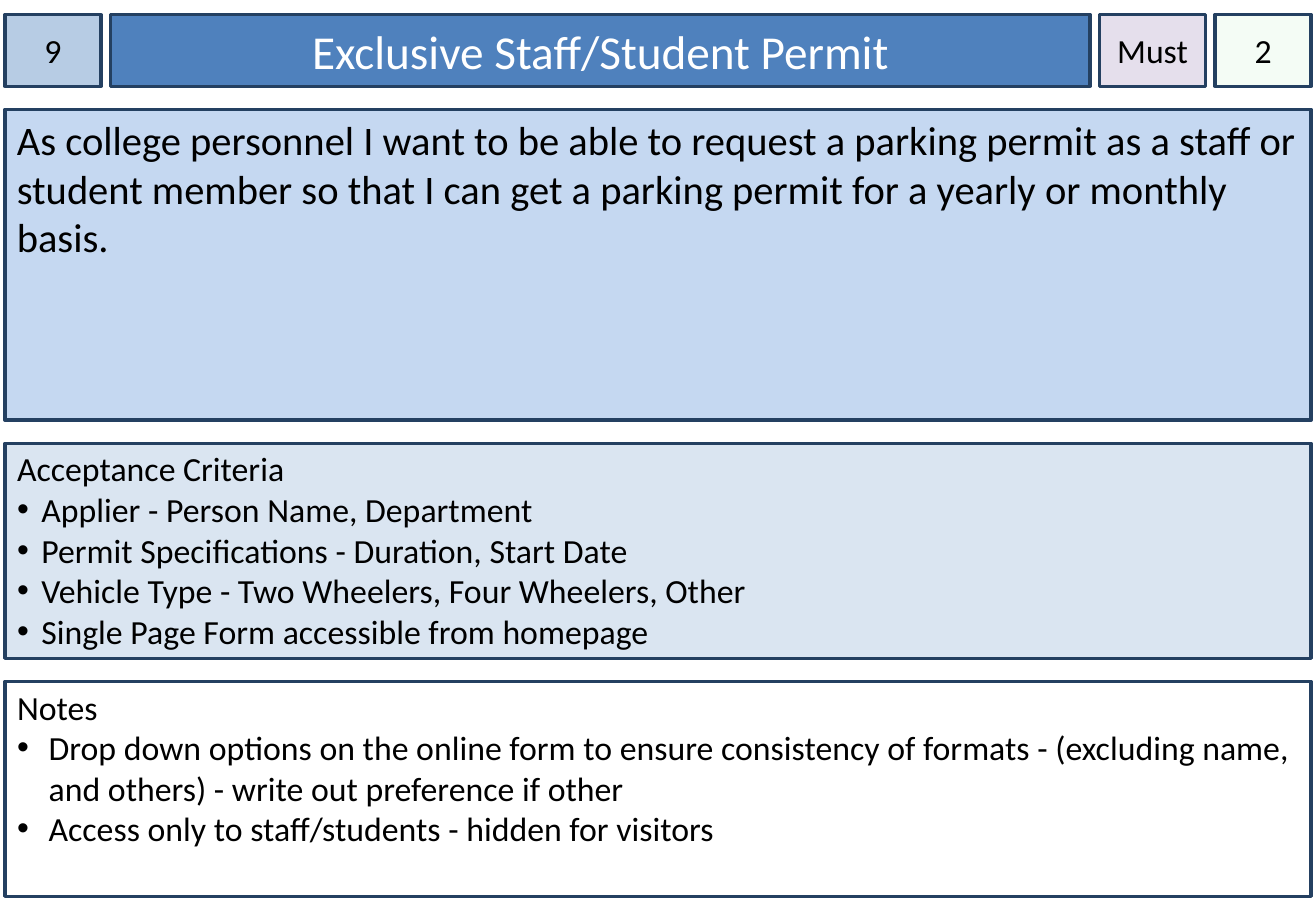
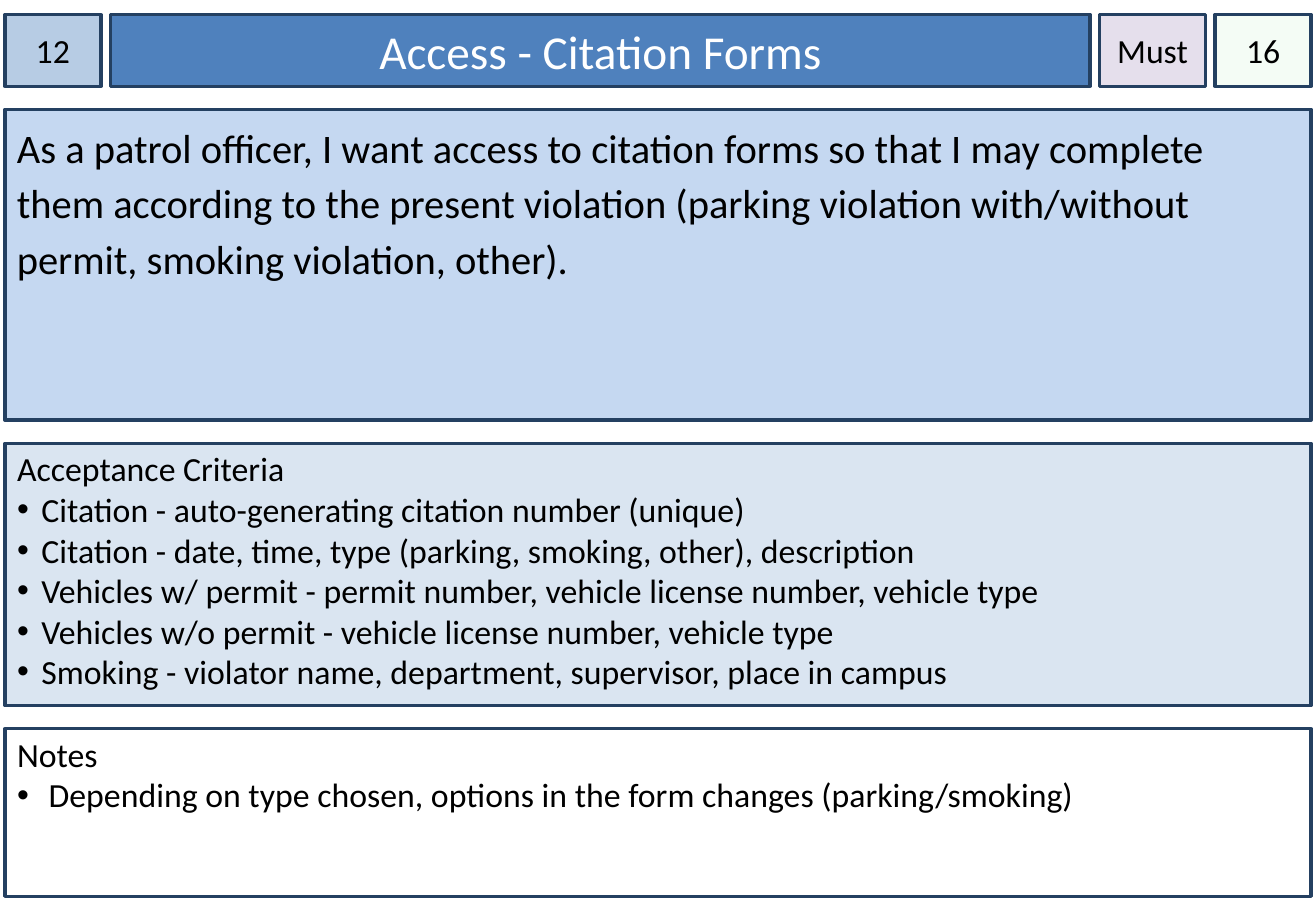
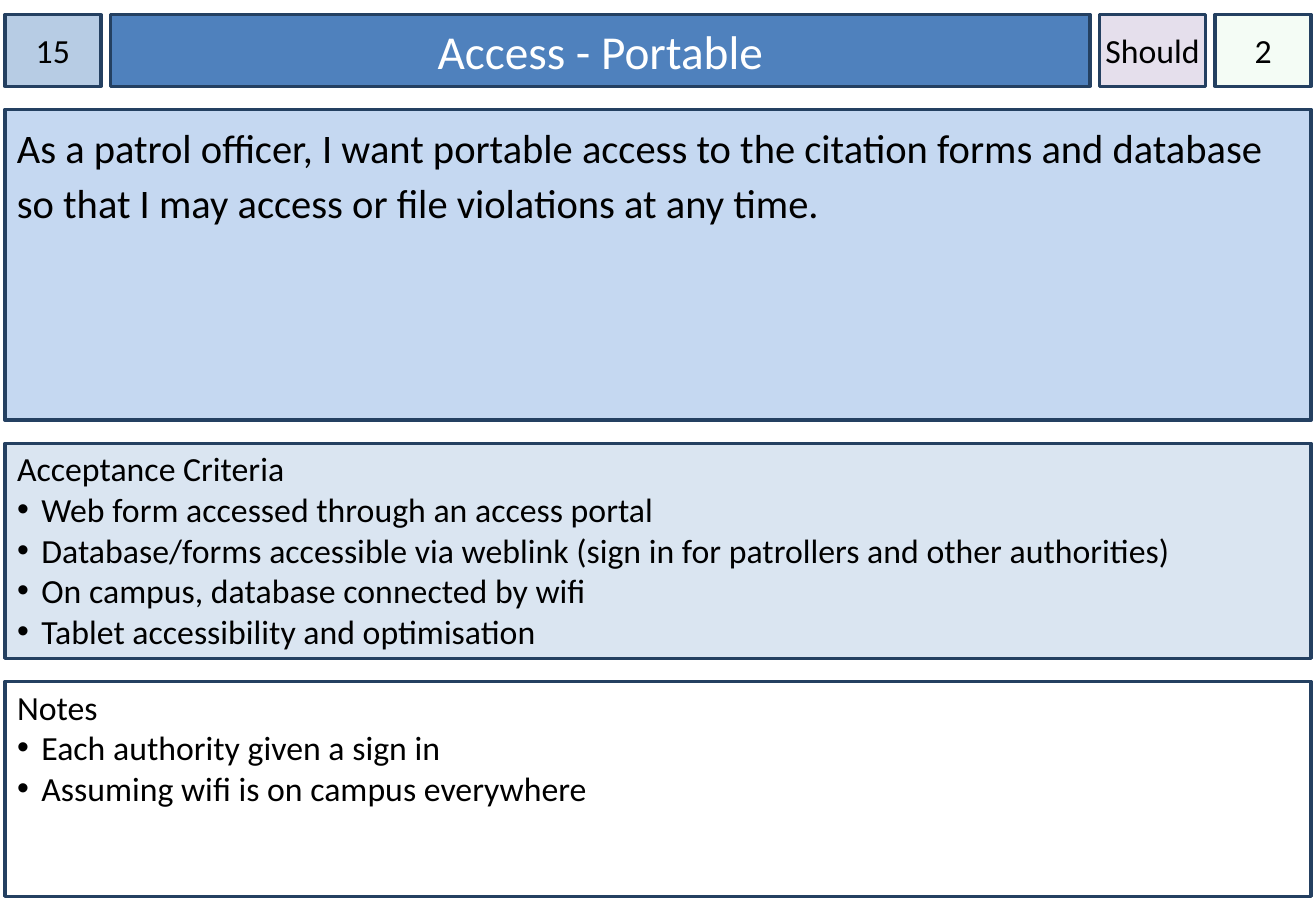
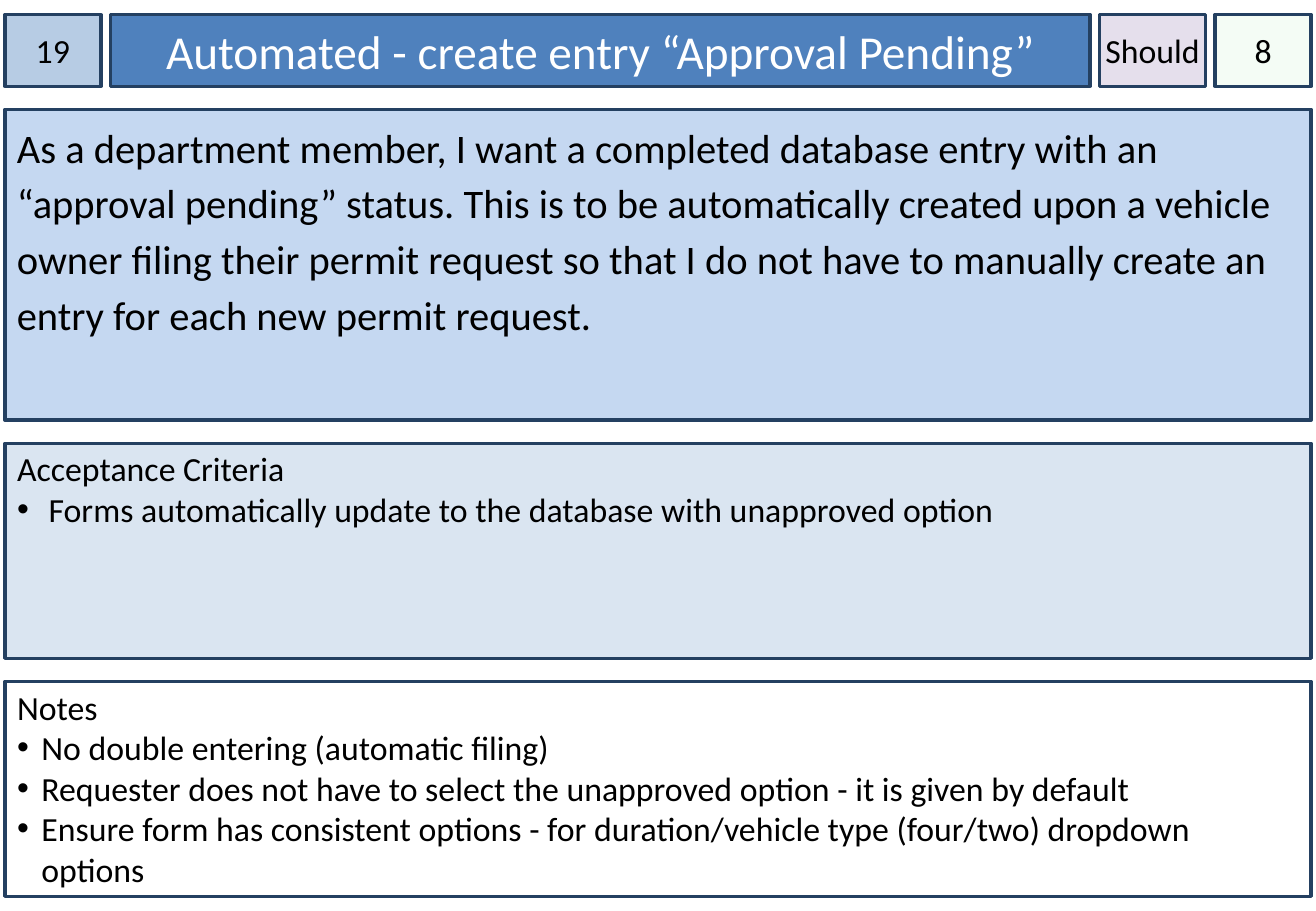
"""Build a deck of user story cards for a campus parking system."""
import dataclasses

import lxml.etree
import pptx
import pptx.dml.color
import pptx.enum.shapes
import pptx.enum.text
import pptx.oxml.ns
import pptx.util

PX = 9144
PAGE_WIDTH, PAGE_HEIGHT = 1083, 750
LEFT, TOP, RIGHT, BOTTOM = 4, 12, 1079, 738
COLUMN_GAP, ROW_GAP = 8, 19
HEADER_HEIGHT, STORY_HEIGHT = 59, 256
BADGE_WIDTH, PRIORITY_WIDTH = 79, 87
TWO_CONTENT_LAYOUT = 3
FONT = "Calibri"
COLORS = {
    "outline": "244061",
    "text": "000000",
    "title text": "FFFFFF",
    "number": "B7CCE4",
    "title": "4F81BD",
    "priority": "E5DFEC",
    "points": "CCF0CD",
    "story": "C5D8F1",
    "criteria": "DAE5F1",
    "remarks": "FFFFFF",
}
ALIGN = pptx.enum.text.PP_ALIGN
ANCHOR = pptx.enum.text.MSO_ANCHOR


@dataclasses.dataclass
class Box:
    """A rectangle in px."""
    left: int
    top: int
    width: int
    height: int


@dataclasses.dataclass
class Story:
    """The contents of one card."""
    number: str
    title: str
    priority: str
    points: str
    text: str
    criteria: list
    remarks: list
    spacing: float = 1.15
    criteria_height: int = 177
    criteria_indent: int = 20
    remarks_indent: int = 20


STORIES = [
    Story(
        "9", "Exclusive Staff/Student Permit", "Must", "2",
        "As college personnel I want to be able to request a parking permit as a staff or "
        "student member so that I can get a parking permit for a yearly or monthly basis.",
        ["Applier - Person Name, Department",
         "Permit Specifications - Duration, Start Date",
         "Vehicle Type - Two Wheelers, Four Wheelers, Other",
         "Single Page Form accessible from homepage"],
        ["Drop down options on the online form to ensure consistency of formats - "
         "(excluding name, and others) - write out preference if other",
         "Access only to staff/students - hidden for visitors"],
        spacing=1.0, remarks_indent=26),
    Story(
        "12", "Access - Citation Forms", "Must", "16",
        "As a patrol officer, I want access to citation forms so that I may complete them "
        "according to the present violation (parking violation with/without permit, "
        "smoking violation, other).",
        ["Citation - auto-generating citation number (unique)",
         "Citation - date, time, type (parking, smoking, other), description",
         "Vehicles w/ permit - permit number, vehicle license number, vehicle type",
         "Vehicles w/o permit - vehicle license number, vehicle type",
         "Smoking - violator name, department, supervisor, place in campus"],
        ["Depending on type chosen, options in the form changes (parking/smoking)"],
        criteria_height=216, remarks_indent=26),
    Story(
        "15", "Access - Portable", "Should", "2",
        "As a patrol officer, I want portable access to the citation forms and database so "
        "that I may access or file violations at any time.",
        ["Web form accessed through an access portal",
         "Database/forms accessible via weblink (sign in for patrollers and other authorities)",
         "On campus, database connected by wifi",
         "Tablet accessibility and optimisation"],
        ["Each authority given a sign in",
         "Assuming wifi is on campus everywhere"]),
    Story(
        "19", "Automated - create entry “Approval Pending”", "Should", "8",
        "As a department member, I want a completed database entry with an “approval "
        "pending” status. This is to be automatically created upon a vehicle owner filing "
        "their permit request so that I do not have to manually create an entry for each "
        "new permit request.",
        ["Forms automatically update to the database with unapproved option"],
        ["No double entering (automatic filing)",
         "Requester does not have to select the unapproved option - it is given by default",
         "Ensure form has consistent options - for duration/vehicle type (four/two) "
         "dropdown options"],
        criteria_indent=26),
]


def px(length):
    """Turn px into EMU."""
    return pptx.util.Emu(length * PX)


def color(value):
    """Turn a hex string into a colour."""
    return pptx.dml.color.RGBColor.from_string(value)


def add_element(parent, tag, **attributes):
    """Append a DrawingML element and return it."""
    return lxml.etree.SubElement(parent, pptx.oxml.ns.qn(tag), attributes)


def style_panel(shape, box, fill, side_inset=10, top_inset=5, anchor=ANCHOR.TOP):
    """Place a shape in its box and give it the card's fill, outline and insets."""
    shape.left, shape.top = px(box.left), px(box.top)
    shape.width, shape.height = px(box.width), px(box.height)
    shape.fill.solid()
    shape.fill.fore_color.rgb = color(fill)
    shape.line.color.rgb = color(COLORS["outline"])
    shape.line.width = pptx.util.Pt(2)
    frame = shape.text_frame
    frame.word_wrap = True
    frame.auto_size = pptx.enum.text.MSO_AUTO_SIZE.NONE
    frame.vertical_anchor = anchor
    frame.margin_left = frame.margin_right = px(side_inset)
    frame.margin_top, frame.margin_bottom = px(top_inset), px(5)
    return frame


def add_panel(page, box, fill, **layout):
    """Add a styled rectangle and return its text frame."""
    shape = page.shapes.add_shape(pptx.enum.shapes.MSO_SHAPE.RECTANGLE, 0, 0, 0, 0)
    shape.shadow.inherit = False
    return style_panel(shape, box, fill, **layout)


def write(para, text, size=20, text_color=COLORS["text"], align=ALIGN.LEFT,
          spacing=1.0, bullet_indent=0):
    """Write text into a paragraph, with a bullet when it has an indent."""
    properties = para._p.get_or_add_pPr()
    properties.set("marL", str(px(bullet_indent)))
    properties.set("indent", str(px(-bullet_indent)))
    if bullet_indent:
        bullet_color = add_element(properties, "a:buClr")
        add_element(bullet_color, "a:srgbClr", val=text_color)
        add_element(properties, "a:buChar", char="•")
    else:
        add_element(properties, "a:buNone")
    para.alignment = align
    para.line_spacing = spacing
    para.space_before = para.space_after = pptx.util.Pt(0)
    span = para.add_run()
    span.text = text
    span.font.name = FONT
    span.font.size = pptx.util.Pt(size)
    span.font.color.rgb = color(text_color)


def add_badge(page, box, text, fill, opacity=100):
    """Add a small centred label to the header."""
    frame = add_panel(page, box, fill, side_inset=0, anchor=ANCHOR.MIDDLE)
    write(frame.paragraphs[0], text, align=ALIGN.CENTER)
    if opacity < 100:
        shape = page.shapes[-1]
        fill_color = shape._element.spPr.find(".//" + pptx.oxml.ns.qn("a:srgbClr"))
        add_element(fill_color, "a:alpha", val=str(opacity * 1000))


def add_header(page, box, story):
    """Fill the header row with number, title, priority and points."""
    right = box.left + box.width
    points_left = right - BADGE_WIDTH
    priority_left = points_left - COLUMN_GAP - PRIORITY_WIDTH
    title_left = box.left + BADGE_WIDTH + COLUMN_GAP
    title_width = priority_left - COLUMN_GAP - title_left

    def cell(left, width):
        """Return a cell of the header row."""
        return Box(left, box.top, width, box.height)

    frame = style_panel(page.shapes.title, cell(title_left, title_width),
                        COLORS["title"], anchor=ANCHOR.MIDDLE)
    write(frame.paragraphs[0], story.title, size=28, align=ALIGN.CENTER,
          text_color=COLORS["title text"])
    add_badge(page, cell(box.left, BADGE_WIDTH), story.number, COLORS["number"])
    add_badge(page, cell(priority_left, PRIORITY_WIDTH), story.priority, COLORS["priority"])
    add_badge(page, cell(points_left, BADGE_WIDTH), story.points, COLORS["points"], opacity=20)


def add_story_text(page, box, story):
    """Add the panel with the story sentence."""
    frame = add_panel(page, box, COLORS["story"])
    write(frame.paragraphs[0], story.text, size=24, spacing=story.spacing)


def fill_list(placeholder, box, heading, items, fill, indent):
    """Fill a body placeholder with a heading and a bulleted list."""
    frame = style_panel(placeholder, box, fill, top_inset=4)
    write(frame.paragraphs[0], heading)
    for item in items:
        write(frame.add_paragraph(), item, bullet_indent=indent)


def add_card(deck, story):
    """Add one story card, stacking its rows from top to bottom."""
    page = deck.slides.add_slide(deck.slide_layouts[TWO_CONTENT_LAYOUT])
    width = RIGHT - LEFT
    story_top = TOP + HEADER_HEIGHT + ROW_GAP
    criteria_top = story_top + STORY_HEIGHT + ROW_GAP
    remarks_top = criteria_top + story.criteria_height + ROW_GAP
    add_header(page, Box(LEFT, TOP, width, HEADER_HEIGHT), story)
    add_story_text(page, Box(LEFT, story_top, width, STORY_HEIGHT), story)
    fill_list(page.placeholders[1], Box(LEFT, criteria_top, width, story.criteria_height),
              "Acceptance Criteria", story.criteria, COLORS["criteria"],
              story.criteria_indent)
    fill_list(page.placeholders[2], Box(LEFT, remarks_top, width, BOTTOM - remarks_top),
              "Notes", story.remarks, COLORS["remarks"], story.remarks_indent)


def main():
    """Build and save the deck."""
    deck = pptx.Presentation()
    deck.slide_width, deck.slide_height = px(PAGE_WIDTH), px(PAGE_HEIGHT)
    for story in STORIES:
        add_card(deck, story)
    deck.save("out.pptx")


if __name__ == "__main__":
    main()
